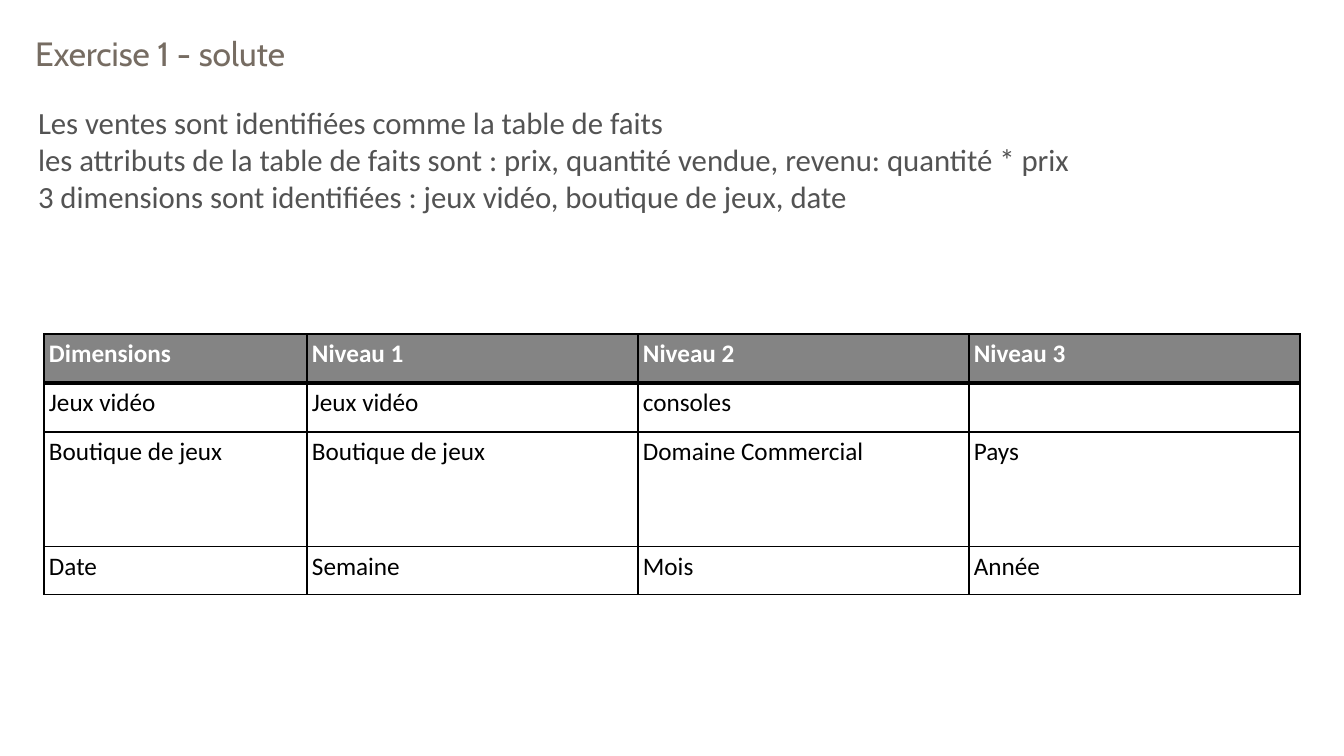
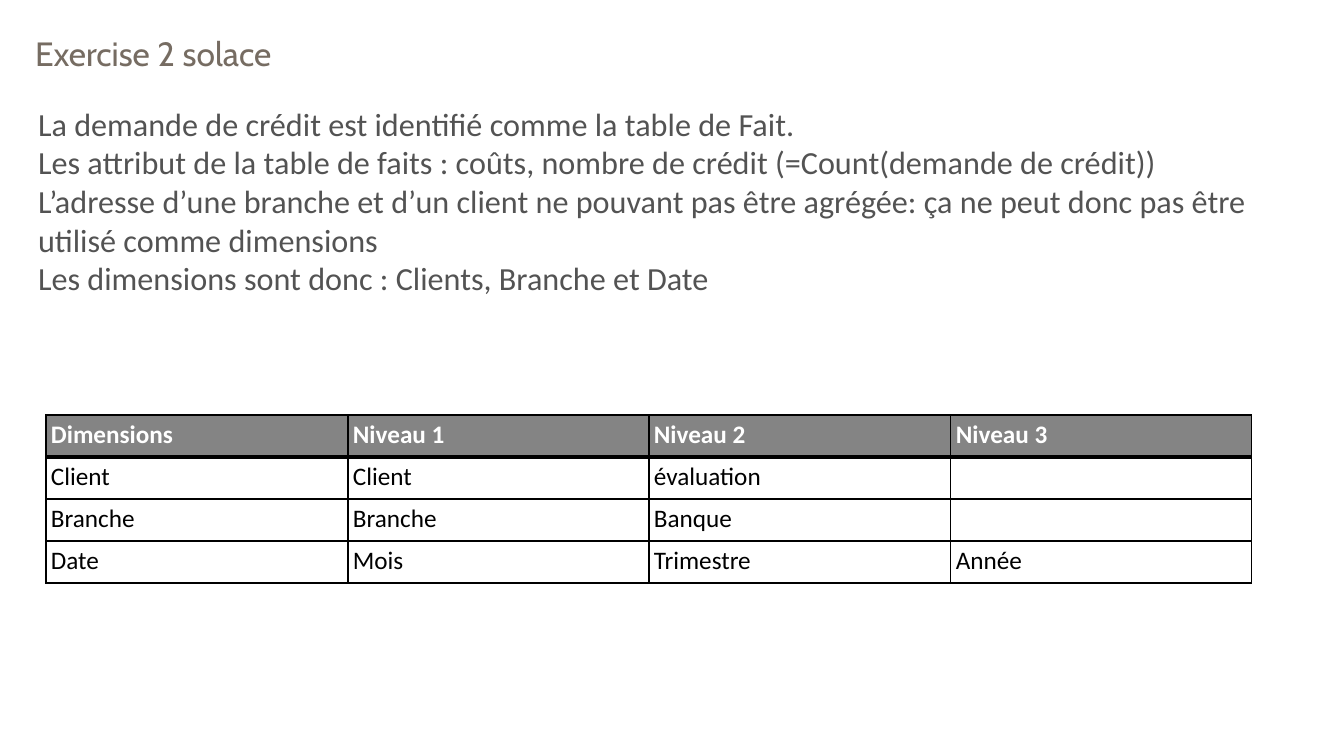
from lxml import etree
from pptx import Presentation
from pptx import util as u
from pptx.dml.color import RGBColor
from pptx.enum import text
from pptx.oxml import ns

EMU_PER_PX = 914400 / 100.8
TITLE_COLOR, BODY_COLOR = "766C62", "535353"
HEADER_FILL, WHITE, BLACK = "848484", "FFFFFF", "000000"
INSET = 5
THIN, THICK = 1, 3

EXERCISES = [
    {
        "title": "Exercise 1 - solute",
        "body": [
            "Les ventes sont identifiées comme la table de faits",
            "les attributs de la table de faits sont : prix, quantité vendue, revenu: quantité * prix",
            "3 dimensions sont identifiées : jeux vidéo, boutique de jeux, date",
        ],
        "body_size": 22, "body_width": 1255, "body_height": 155,
        "table_left": 44, "table_top": 334,
        "columns": [263, 331, 331, 331],
        "heights": [49, 49, 115, 48],
        "rows": [
            ["Jeux vidéo", "Jeux vidéo", "consoles", ""],
            ["Boutique de jeux", "Boutique de jeux", "Domaine Commercial", "Pays"],
            ["Date", "Semaine", "Mois", "Année"],
        ],
    },
    {
        "title": "Exercise 2 solace",
        "body": [
            "La demande de crédit est identifié comme la table de Fait.",
            "Les attribut de la table de faits : coûts, nombre de crédit (=Count(demande de crédit))",
            "L’adresse d’une branche et d’un client ne pouvant pas être agrégée: "
            "ça ne peut donc pas être utilisé comme dimensions",
            "Les dimensions sont donc : Clients, Branche et Date",
        ],
        "body_size": 23, "body_width": 1290, "body_height": 200,
        "table_left": 46, "table_top": 415,
        "columns": [302, 301, 302, 301],
        "heights": [42] * 4,
        "rows": [
            ["Client", "Client", "évaluation", ""],
            ["Branche", "Branche", "Banque", ""],
            ["Date", "Mois", "Trimestre", "Année"],
        ],
    },
]
HEADER = ["Dimensions", "Niveau 1", "Niveau 2", "Niveau 3"]


def px(length):
    return u.Emu(round(length * EMU_PER_PX))


def style_runs(paragraph, font_name, size, color, bold=False):
    for run in paragraph.runs:
        run.font.name = font_name
        run.font.size = u.Pt(size)
        run.font.bold = bold
        run.font.color.rgb = RGBColor.from_string(color)


presentation = Presentation()
presentation.slide_width, presentation.slide_height = px(1344), px(756)

for exercise in EXERCISES:
    slide = presentation.slides.add_slide(presentation.slide_layouts[1])
    title, body = slide.shapes.title, slide.placeholders[1]

    # Title and body frames
    title.left, title.top, title.width, title.height = px(30), px(31), px(1097), px(50)
    body.left, body.top = px(33), px(99)
    body.width, body.height = px(exercise["body_width"]), px(exercise["body_height"])
    title.text_frame.text = exercise["title"]
    body.text_frame.text = "\n".join(exercise["body"])
    for shape, anchor in ((title, text.MSO_ANCHOR.MIDDLE), (body, text.MSO_ANCHOR.TOP)):
        frame = shape.text_frame
        frame.word_wrap = True
        frame.auto_size = text.MSO_AUTO_SIZE.NONE
        frame.vertical_anchor = anchor
        frame.margin_left = frame.margin_right = px(INSET)
        frame.margin_top = frame.margin_bottom = px(INSET)

    # Title and body text
    heading = title.text_frame.paragraphs[0]
    heading.alignment = text.PP_ALIGN.LEFT
    heading.line_spacing = 0.9
    style_runs(heading, "Cabin", 24, TITLE_COLOR)
    for paragraph in body.text_frame.paragraphs:
        properties = paragraph._p.get_or_add_pPr()
        properties.set("marL", "0")
        properties.set("indent", "0")
        etree.SubElement(properties, ns.qn("a:buNone"))
        paragraph.space_before = u.Pt(0)
        style_runs(paragraph, "Calibri", exercise["body_size"], BODY_COLOR)

    # Table of dimensions and levels
    rows = [HEADER] + exercise["rows"]
    table = slide.shapes.add_table(
        len(rows), len(HEADER), px(exercise["table_left"]), px(exercise["table_top"]),
        px(sum(exercise["columns"])), px(sum(exercise["heights"]))).table
    table.horz_banding = False
    for column, width in zip(table.columns, exercise["columns"]):
        column.width = px(width)
    for row, height in zip(table.rows, exercise["heights"]):
        row.height = px(height)

    for row_index, values in enumerate(rows):
        is_header = row_index == 0
        for column_index, value in enumerate(values):
            cell = table.cell(row_index, column_index)
            cell.text_frame.text = value
            cell.margin_left = cell.margin_right = px(INSET)
            cell.margin_top = cell.margin_bottom = px(INSET)
            cell.fill.solid()
            cell.fill.fore_color.rgb = RGBColor.from_string(HEADER_FILL if is_header else WHITE)
            style_runs(cell.text_frame.paragraphs[0], "Calibri", 18,
                       WHITE if is_header else BLACK, is_header)

            # Borders come before the fill, with a thick rule under the header
            borders = {"a:lnL": THIN, "a:lnR": THIN,
                       "a:lnT": THICK if row_index == 1 else THIN,
                       "a:lnB": THICK if is_header else THIN}
            cell_properties = cell._tc.get_or_add_tcPr()
            for position, (tag, points) in enumerate(borders.items()):
                line = etree.Element(ns.qn(tag), w=str(u.Pt(points)))
                line_fill = etree.SubElement(line, ns.qn("a:solidFill"))
                etree.SubElement(line_fill, ns.qn("a:srgbClr"), val=BLACK)
                cell_properties.insert(position, line)

presentation.save("out.pptx")
